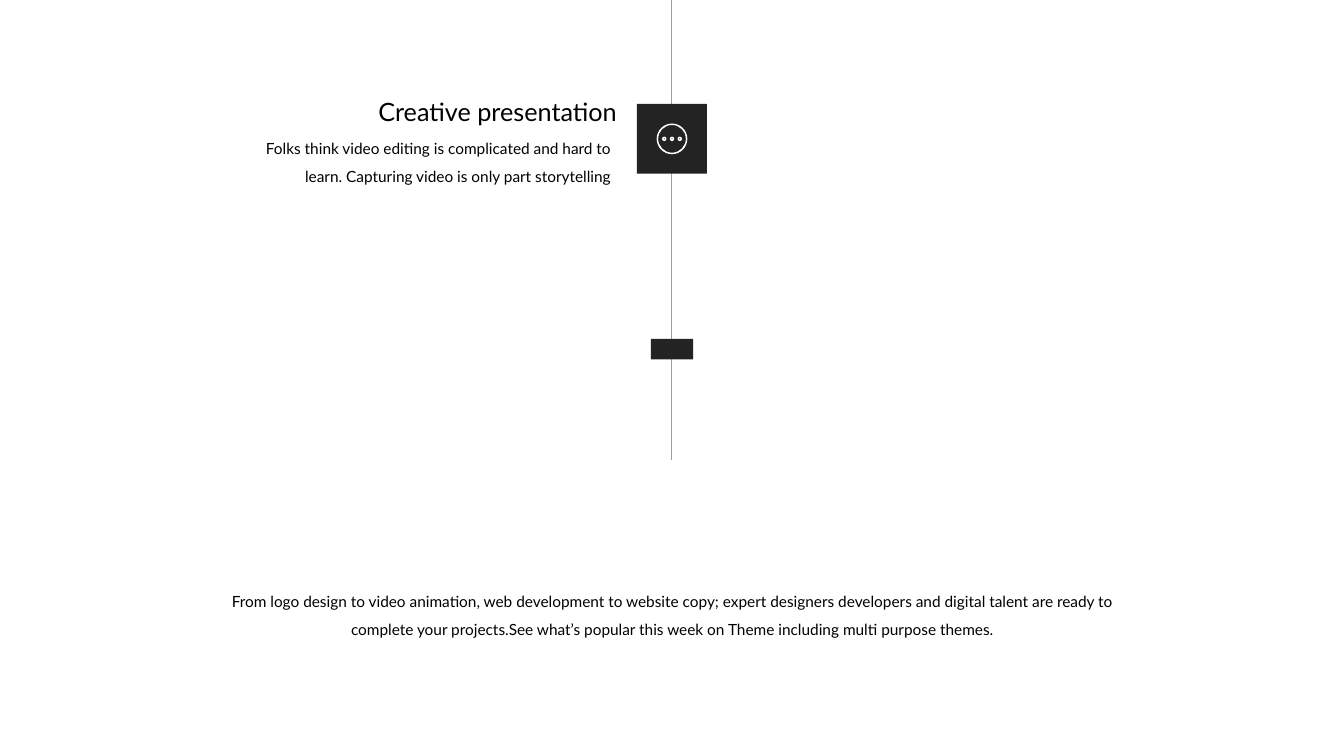
"""Build a vertical timeline slide with one marked step and a closing text."""
import math

from lxml import etree
from pptx import Presentation
from pptx.dml.color import RGBColor
from pptx.enum import shapes, text
from pptx.oxml import ns
from pptx.util import Pt

BLACK = RGBColor(0, 0, 0)
DARK = RGBColor(0x23, 0x23, 0x23)
GREY = RGBColor(0x9E, 0x9E, 0x9E)
WHITE = RGBColor(0xFF, 0xFF, 0xFF)
MID = 959.76
AXIS = 959.5
ICON = 198.36


def paint(shape, color):
    shape.shadow.inherit = False
    shape.fill.solid()
    shape.fill.fore_color.rgb = color
    shape.line.fill.background()


def write(shape, words, size, align, wrap, gap):
    frame = shape.text_frame
    frame.text = words
    frame.word_wrap = wrap
    frame.auto_size = text.MSO_AUTO_SIZE.SHAPE_TO_FIT_TEXT
    frame.vertical_anchor = text.MSO_ANCHOR.MIDDLE
    frame.margin_left = frame.margin_right = Pt(4)
    frame.margin_top = frame.margin_bottom = Pt(4)
    para = frame.paragraphs[0]
    para.alignment = align
    para.line_spacing = gap
    font = para.runs[0].font
    font.name = "Lato"
    font.size = Pt(size)
    font.color.rgb = BLACK


deck = Presentation()
deck.slide_width = Pt(2 * MID)
deck.slide_height = Pt(1080)
slide = deck.slides.add_slide(deck.slide_layouts[5])
items = slide.shapes

axis = items.add_connector(
    shapes.MSO_CONNECTOR.STRAIGHT, Pt(AXIS), Pt(-3), Pt(AXIS), Pt(657.8))
axis.line.color.rgb = GREY
axis.line.width = Pt(1)
etree.SubElement(axis.element.spPr, ns.qn("a:effectLst"))

for top, width, height in [(148.3, 100, 99.8), (484, 60.5, 29.3)]:
    block = items.add_shape(
        shapes.MSO_SHAPE.RECTANGLE, Pt(MID - width / 2), Pt(top), Pt(width), Pt(height))
    paint(block, DARK)

title = items.title
title.left, title.top, title.width, title.height = Pt(512), Pt(133.2), Pt(373), Pt(51.1)
write(title, "Creative presentation", 36, text.PP_ALIGN.RIGHT, False, 1)

notes = [
    (374.4, 182.2, 501.8, text.PP_ALIGN.RIGHT,
     "Folks think video editing is complicated and hard to learn. "
     "Capturing video is only part storytelling"),
    (280, 828.7, 1360, text.PP_ALIGN.CENTER,
     "From logo design to video animation, web development to website copy; "
     "expert designers developers and digital talent are ready to complete your "
     "projects.See what’s popular this week on Theme including multi purpose themes."),
]
for left, top, width, align, words in notes:
    box = items.add_textbox(Pt(left), Pt(top), Pt(width), Pt(87.1))
    write(box, words, 22, align, True, 1.5)

curve = [(28.91, 1.14), (61.09, 1.14), (90, 1)]
rings = [(0, 21.9, 19.8)] + [(shift, 3.2, 1.2) for shift in (-11.1, 0, 11.1)]
pen = None
for shift, outer, inner in rings:
    for size, turn in [(outer, 1), (inner, -1)]:
        polar = [(0, 1)] + [(start + part, reach)
                            for start in range(0, 360, 90) for part, reach in curve]
        dots = []
        for angle, reach in polar:
            bend = math.radians(turn * angle)
            dots.append((Pt(MID + shift + size * reach * math.cos(bend)),
                         Pt(ICON + size * reach * math.sin(bend))))
        if pen is None:
            pen = items.build_freeform(*dots[0])
        else:
            pen.move_to(*dots[0])
        pen.add_line_segments(dots[1:], close=True)
icon = pen.convert_to_shape()
paint(icon, WHITE)

lines = list(icon.element.iter(ns.qn("a:lnTo")))
for first in range(0, len(lines), 3):
    arc = etree.Element(ns.qn("a:cubicBezTo"))
    lines[first].addprevious(arc)
    for line in lines[first:first + 3]:
        arc.append(line[0])
        line.getparent().remove(line)

deck.save("out.pptx")
